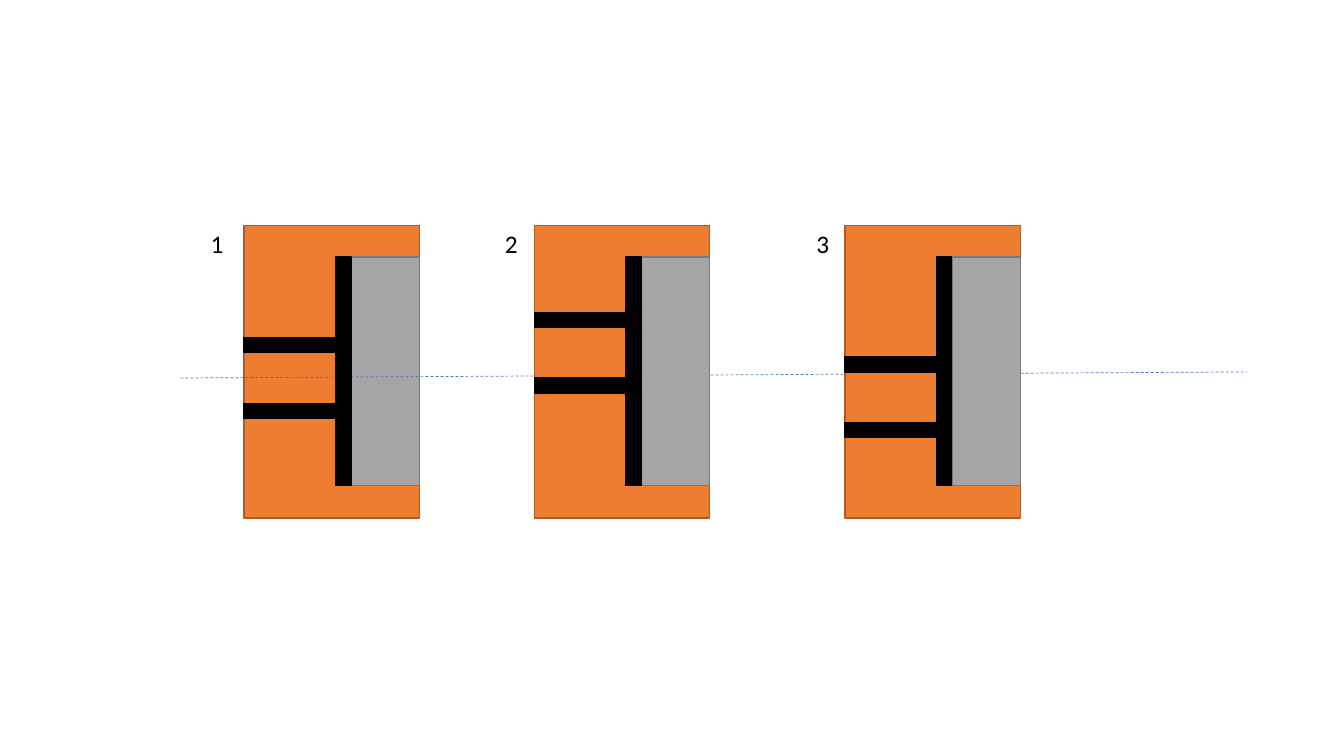
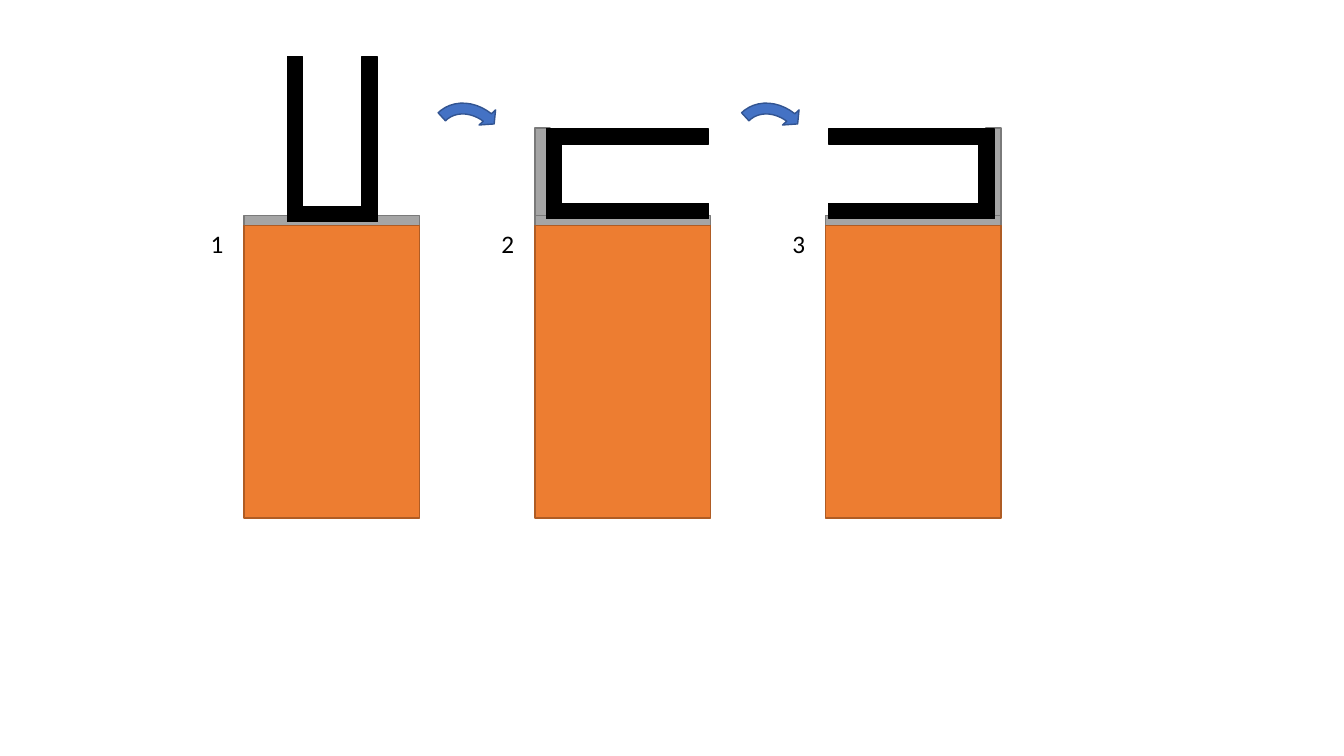
import dataclasses

import pptx
import pptx.dml.color
import pptx.enum.dml
import pptx.enum.shapes
import pptx.enum.text
import pptx.oxml.ns
import pptx.util

Inches = pptx.util.Inches
Shape = pptx.enum.shapes.MSO_SHAPE


@dataclasses.dataclass(frozen=True)
class Theme:
    wood: tuple = ("ED7D31", "AF5C24")
    pad: tuple = ("A5A5A5", "7A7A7A")
    steel: tuple = ("000000", "000000")
    arrow: tuple = ("4472C4", "325491")
    axis: str = "4472C4"
    text: str = "000000"
    font: str = "Calibri"
    label_size: int = 18
    outline: float = 1
    axis_width: float = 0.5


THEME = Theme()
BODY_TOP, BODY_WIDTH, BODY_HEIGHT = 2.24, 1.74, 2.9
BAR = 0.15
LABEL_TOP = 2.22


def rgb(value):
    return pptx.dml.color.RGBColor.from_string(value)


def add_shape(page, left, top, width, height, colours, kind=Shape.RECTANGLE):
    box = page.shapes.add_shape(
        kind, Inches(left), Inches(top), Inches(width), Inches(height))
    fill, line = colours
    box.shadow.inherit = False
    box.fill.solid()
    box.fill.fore_color.rgb = rgb(fill)
    box.line.color.rgb = rgb(line)
    box.line.width = pptx.util.Pt(THEME.outline)
    return box


def add_text(page, text, left, top, width=0.33, height=0.4,
             size=THEME.label_size, colour=THEME.text):
    box = page.shapes.add_textbox(
        Inches(left), Inches(top), Inches(width), Inches(height))
    frame = box.text_frame
    frame.word_wrap = False
    frame.auto_size = pptx.enum.text.MSO_AUTO_SIZE.SHAPE_TO_FIT_TEXT
    span = frame.paragraphs[0].add_run()
    span.text = text
    span.font.name = THEME.font
    span.font.size = pptx.util.Pt(size)
    span.font.color.rgb = rgb(colour)


def add_body(page, left):
    add_shape(page, left, BODY_TOP, BODY_WIDTH, BODY_HEIGHT, THEME.wood)


def add_housing(page, left):
    add_body(page, left)
    add_shape(page, left + 1.06, 2.55, 0.68, 2.27, THEME.pad)


def add_plunger(page, left, prong_top):
    add_shape(page, left + 0.91, 2.55, BAR, 2.27, THEME.steel)
    for top in (prong_top, prong_top + 0.65):
        add_shape(page, left, top, 0.91, BAR, THEME.steel)


def add_axis(page):
    line = page.shapes.add_connector(
        pptx.enum.shapes.MSO_CONNECTOR.STRAIGHT,
        Inches(1.79), Inches(3.75), Inches(12.37), Inches(3.69))
    line.line.color.rgb = rgb(THEME.axis)
    line.line.width = pptx.util.Pt(THEME.axis_width)
    line.line.dash_style = pptx.enum.dml.MSO_LINE.DASH
    properties = line._element.spPr
    properties.append(properties.makeelement(pptx.oxml.ns.qn("a:effectLst"), {}))


def add_fork(page, left, top, width, height, base):
    right, bottom = left + width - BAR, top + height - BAR
    sides = {
        "left": (left, top, BAR, height),
        "right": (right, top, BAR, height),
        "top": (left, top, width, BAR),
        "bottom": (left, bottom, width, BAR),
    }
    prongs = ("left", "right") if base == "bottom" else ("top", "bottom")
    for side in (base, *prongs):
        add_shape(page, *sides[side], THEME.steel)


def add_turn_arrow(page, left):
    arrow = add_shape(page, left, 0.94, 0.89, 1.03, THEME.arrow, Shape.CIRCULAR_ARROW)
    arrow.rotation = 322
    for index, value in enumerate((0.121, 9.557, 203.798, 159.215, 0.125)):
        arrow.adjustments[index] = value


def build_plunger_page(page):
    lefts = (2.42, 5.3, 8.38)
    prong_tops = (3.35, 3.1, 3.54)
    label_lefts = (1.99, 4.91, 8)
    for index, (left, prong_top) in enumerate(zip(lefts, prong_tops)):
        add_housing(page, left)
        if index == 0:
            add_axis(page)
        add_plunger(page, left, prong_top)
    for number, left in enumerate(label_lefts, start=1):
        add_text(page, str(number), left, LABEL_TOP)


def build_fork_page(page):
    lefts = [2.42 + 2.885 * index for index in range(3)]
    forks = (
        (2.85, 0.56, 0.89, 1.64, "bottom"),
        (5.42, 1.28, 1.61, 0.89, "left"),
        (8.22, 1.28, 1.64, 0.89, "right"),
    )
    for left in (lefts[1], lefts[2] + BODY_WIDTH - BAR):
        add_shape(page, left, 1.27, BAR, 0.97, THEME.pad)
    for number, (left, fork) in enumerate(zip(lefts, forks), start=1):
        add_shape(page, left, 2.14, BODY_WIDTH, BAR, THEME.pad)
        add_body(page, left)
        add_fork(page, *fork)
        add_text(page, str(number), left - 0.43, LABEL_TOP)
    for left in (4.21, 7.22):
        add_turn_arrow(page, left)


def main():
    deck = pptx.Presentation()
    deck.slide_width, deck.slide_height = Inches(13.33), Inches(7.5)
    for build in (build_plunger_page, build_fork_page):
        build(deck.slides.add_slide(deck.slide_layouts[6]))
    deck.save("out.pptx")


if __name__ == "__main__":
    main()
